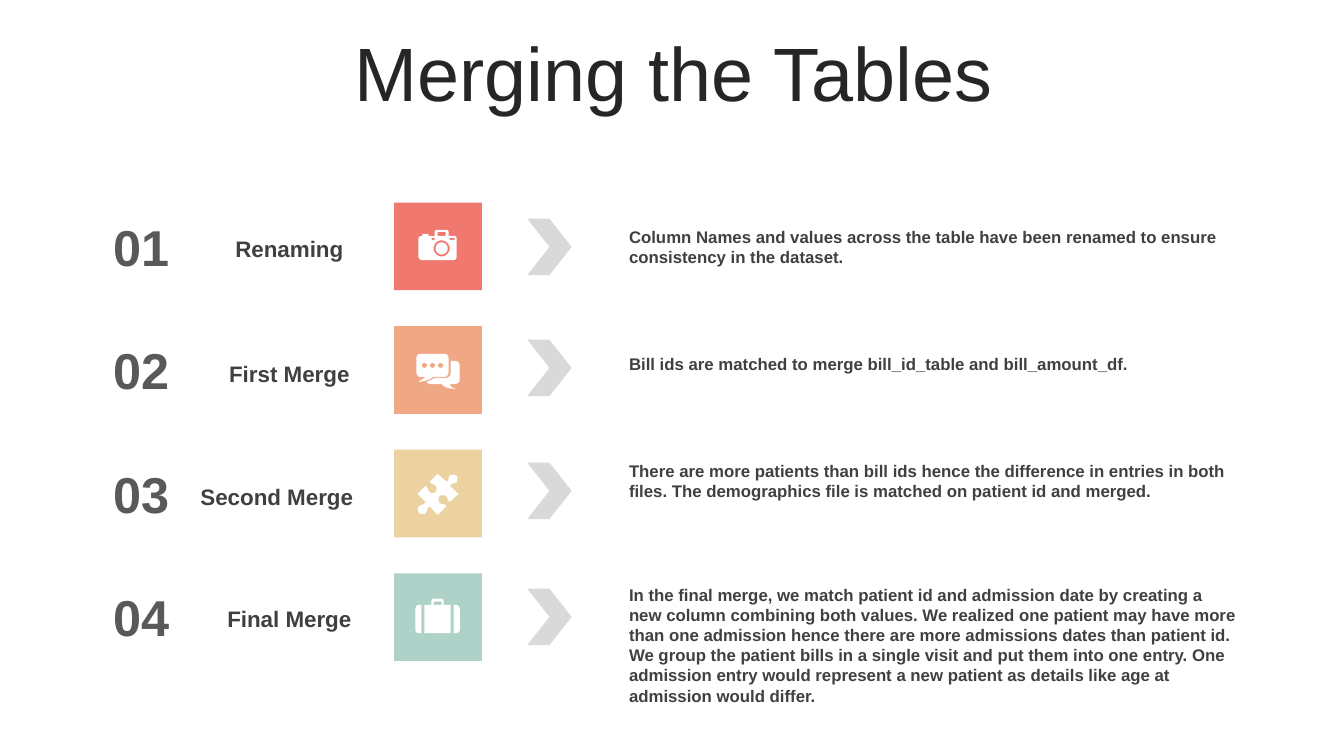
import math

import pptx
import pptx.util
from pptx.dml.color import RGBColor
from pptx.enum.shapes import MSO_SHAPE
from pptx.enum.text import MSO_ANCHOR, MSO_AUTO_SIZE, PP_ALIGN
from pptx.util import Inches

INK = RGBColor(0x26, 0x26, 0x26)
BODY = RGBColor(0x40, 0x40, 0x40)
NUMBER = RGBColor(0x59, 0x59, 0x59)
ARROW = RGBColor(0xD9, 0xD9, 0xD9)
WHITE = RGBColor(0xFF, 0xFF, 0xFF)
CORAL = RGBColor(0xF0, 0x78, 0x6E)
ORANGE = RGBColor(0xF0, 0xA8, 0x84)
SAND = RGBColor(0xEB, 0xD2, 0xA0)
MINT = RGBColor(0xAF, 0xD2, 0xC8)

FIRST_TOP = 2.01
ROW_STEP = 1.226
TILE_LEFT = 3.91
TILE_SIZE = 0.87


def add_text(slide, text, box, size, color, bold=True, align=PP_ALIGN.LEFT):
    shape = slide.shapes.add_textbox(*map(Inches, box))
    text_frame = shape.text_frame
    text_frame.text = text
    text_frame.word_wrap = True
    text_frame.auto_size = MSO_AUTO_SIZE.SHAPE_TO_FIT_TEXT
    paragraph = text_frame.paragraphs[0]
    paragraph.alignment = align
    font = paragraph.runs[0].font
    font.name = "Arial"
    font.size = pptx.util.Pt(size)
    font.bold = bold
    font.color.rgb = color
    return shape


def paint(shape, color):
    shape.shadow.inherit = False
    shape.fill.solid()
    shape.fill.fore_color.rgb = color
    shape.line.fill.background()


def add_block(slide, preset, box, color):
    paint(slide.shapes.add_shape(preset, *map(Inches, box)), color)


def add_icon(slide, contours):
    points = [[(Inches(x), Inches(y)) for x, y in contour] for contour in contours]
    builder = slide.shapes.build_freeform(*points[0][0], scale=1.0)
    builder.add_line_segments(points[0][1:], close=True)
    for contour in points[1:]:
        builder.move_to(*contour[0])
        builder.add_line_segments(contour[1:], close=True)
    paint(builder.convert_to_shape(), WHITE)


def outline(start, *steps):
    points = [start]
    for step in steps:
        if len(step) == 2:
            points.append(step)
            continue
        x0, y0 = points[-1]
        x1, y1, x2, y2, x3, y3 = step
        for t in (0.2, 0.4, 0.6, 0.8, 1):
            a, b, c, d = (1 - t) ** 3, 3 * t * (1 - t) ** 2, 3 * t * t * (1 - t), t ** 3
            points.append((a * x0 + b * x1 + c * x2 + d * x3,
                           a * y0 + b * y1 + c * y2 + d * y3))
    return points


def circle(x, y, radius, count=32):
    angles = [2 * math.pi * i / count for i in range(count)]
    return [(x + radius * math.cos(a), y + radius * math.sin(a)) for a in angles]


def box(left, top, right, bottom):
    return [(left, top), (right, top), (right, bottom), (left, bottom)]


def camera():
    body = outline(
        (4.32, 2.28), (4.44, 2.28), (4.45, 2.3), (4.45, 2.34), (4.5, 2.34),
        (4.52, 2.34, 4.53, 2.35, 4.53, 2.37), (4.53, 2.55),
        (4.53, 2.56, 4.52, 2.58, 4.5, 2.58), (4.18, 2.58),
        (4.17, 2.58, 4.15, 2.56, 4.15, 2.55), (4.15, 2.37),
        (4.15, 2.35, 4.17, 2.34, 4.18, 2.34), (4.19, 2.34), (4.19, 2.32),
        (4.25, 2.32), (4.25, 2.34), (4.31, 2.34), (4.31, 2.3))
    return [body, circle(4.38, 2.465, 0.08), circle(4.38, 2.465, 0.06),
            box(4.28, 2.36, 4.31, 2.38), box(4.46, 2.36, 4.51, 2.38),
            box(4.34, 2.3, 4.42, 2.34)]


def speech_bubbles():
    front = outline(
        (4.17, 3.51), (4.41, 3.51), (4.43, 3.51, 4.45, 3.53, 4.45, 3.55),
        (4.45, 3.69), (4.45, 3.72, 4.43, 3.74, 4.41, 3.74), (4.3, 3.74),
        (4.25, 3.77, 4.23, 3.78, 4.15, 3.79), (4.19, 3.76, 4.2, 3.76, 4.22, 3.74),
        (4.17, 3.74), (4.15, 3.74, 4.13, 3.72, 4.13, 3.69), (4.13, 3.55),
        (4.13, 3.53, 4.15, 3.51, 4.17, 3.51))
    back = outline(
        (4.47, 3.58), (4.51, 3.58), (4.54, 3.58, 4.56, 3.6, 4.56, 3.63),
        (4.56, 3.77), (4.56, 3.79, 4.54, 3.81, 4.51, 3.81), (4.46, 3.81),
        (4.47, 3.83, 4.47, 3.84, 4.52, 3.86), (4.44, 3.85, 4.42, 3.85, 4.38, 3.81),
        (4.27, 3.81), (4.26, 3.81, 4.24, 3.8, 4.23, 3.79),
        (4.26, 3.78, 4.28, 3.77, 4.31, 3.75), (4.42, 3.75),
        (4.45, 3.75, 4.47, 3.73, 4.47, 3.7))
    return [front, back] + [circle(x, 3.625, 0.025) for x in (4.21, 4.29, 4.37)]


def puzzle():
    return [outline(
        (4.53, 4.72), (4.54, 4.73, 4.54, 4.76, 4.53, 4.78),
        (4.51, 4.8, 4.49, 4.79, 4.46, 4.82), (4.55, 4.9), (4.46, 4.98),
        (4.43, 4.96, 4.45, 4.94, 4.42, 4.92), (4.4, 4.91, 4.38, 4.91, 4.36, 4.92),
        (4.35, 4.94, 4.34, 4.97, 4.36, 4.99), (4.39, 5.01, 4.4, 4.99, 4.43, 5.02),
        (4.34, 5.11), (4.26, 5.02), (4.23, 5.05, 4.24, 5.06, 4.22, 5.09),
        (4.2, 5.11, 4.17, 5.1, 4.16, 5.09), (4.14, 5.07, 4.14, 5.05, 4.15, 5.03),
        (4.17, 5, 4.2, 5.02, 4.22, 4.98), (4.14, 4.9), (4.22, 4.82),
        (4.25, 4.84, 4.24, 4.86, 4.26, 4.88), (4.28, 4.9, 4.31, 4.89, 4.32, 4.88),
        (4.33, 4.87, 4.34, 4.84, 4.32, 4.82), (4.29, 4.79, 4.29, 4.81, 4.26, 4.78),
        (4.34, 4.7), (4.43, 4.78), (4.46, 4.75, 4.44, 4.75, 4.46, 4.72),
        (4.48, 4.7, 4.51, 4.71, 4.53, 4.72))]


def suitcase():
    right = outline(
        (4.5, 6), (4.53, 6), (4.54, 6, 4.56, 6.02, 4.56, 6.04), (4.56, 6.25),
        (4.56, 6.27, 4.54, 6.28, 4.53, 6.28), (4.5, 6.28))
    left = [(8.68 - x, y) for x, y in right]
    middle = outline(
        (4.3, 5.94), (4.38, 5.94), (4.39, 5.94, 4.4, 5.95, 4.4, 5.96), (4.4, 6),
        (4.47, 6), (4.47, 6.28), (4.21, 6.28), (4.21, 6), (4.28, 6), (4.28, 5.96),
        (4.28, 5.95, 4.29, 5.94, 4.3, 5.94))
    return [left, middle, right, box(4.3, 5.97, 4.38, 6)]


ROWS = [
    ("Renaming", (2.09, 2.28, 1.56, 0.37), CORAL, camera, 2.17, (2.2, 0.5),
     "Column Names and values across the table have been renamed to ensure "
     "consistency in the dataset."),
    ("First Merge", (2.09, 3.52, 1.56, 0.37), ORANGE, speech_bubbles, 3.37, (3.46, 0.3),
     "Bill ids are matched to merge bill_id_table and bill_amount_df."),
    ("Second Merge", (1.84, 4.74, 1.81, 0.37), SAND, puzzle, 4.59, (4.52, 0.5),
     "There are more patients than bill ids hence the difference in entries in both "
     "files. The demographics file is matched on patient id and merged."),
    ("Final Merge", (2.09, 5.95, 1.56, 0.37), MINT, suitcase, 5.84, (5.75, 1.31),
     "In the final merge, we match patient id and admission date by creating a new "
     "column combining both values. We realized one patient may have more than one "
     "admission hence there are more admissions dates than patient id. We group the "
     "patient bills in a single visit and put them into one entry. One admission entry "
     "would represent a new patient as details like age at admission would differ."),
]


def add_title(slide):
    title = add_text(slide, "Merging the Tables", (0.35, 0.37, 12.66, 0.79),
                     54, INK, False, PP_ALIGN.CENTER)
    title.text_frame.auto_size = MSO_AUTO_SIZE.NONE
    title.text_frame.vertical_anchor = MSO_ANCHOR.MIDDLE
    title.text_frame.paragraphs[0].line_spacing = 0.9


def add_row(slide, index, row):
    label, label_box, color, icon, arrow_top, (text_top, text_height), text = row
    top = FIRST_TOP + index * ROW_STEP
    add_block(slide, MSO_SHAPE.RECTANGLE, (TILE_LEFT, top, TILE_SIZE, TILE_SIZE), color)
    add_text(slide, f"{index + 1:02}", (0.96, top + 0.08, 0.88, 0.71),
             36, NUMBER, align=PP_ALIGN.CENTER)
    add_text(slide, label, label_box, 16, BODY, align=PP_ALIGN.CENTER)
    add_block(slide, MSO_SHAPE.CHEVRON, (5.23, arrow_top, 0.44, 0.56), ARROW)
    add_text(slide, text, (6.14, text_top, 6.25, text_height), 12, BODY)
    add_icon(slide, icon())


def main():
    presentation = pptx.Presentation()
    presentation.slide_width = Inches(13.33)
    presentation.slide_height = Inches(7.5)
    slide = presentation.slides.add_slide(presentation.slide_layouts[6])
    add_title(slide)
    for index, row in enumerate(ROWS):
        add_row(slide, index, row)
    presentation.save("out.pptx")


if __name__ == "__main__":
    main()
